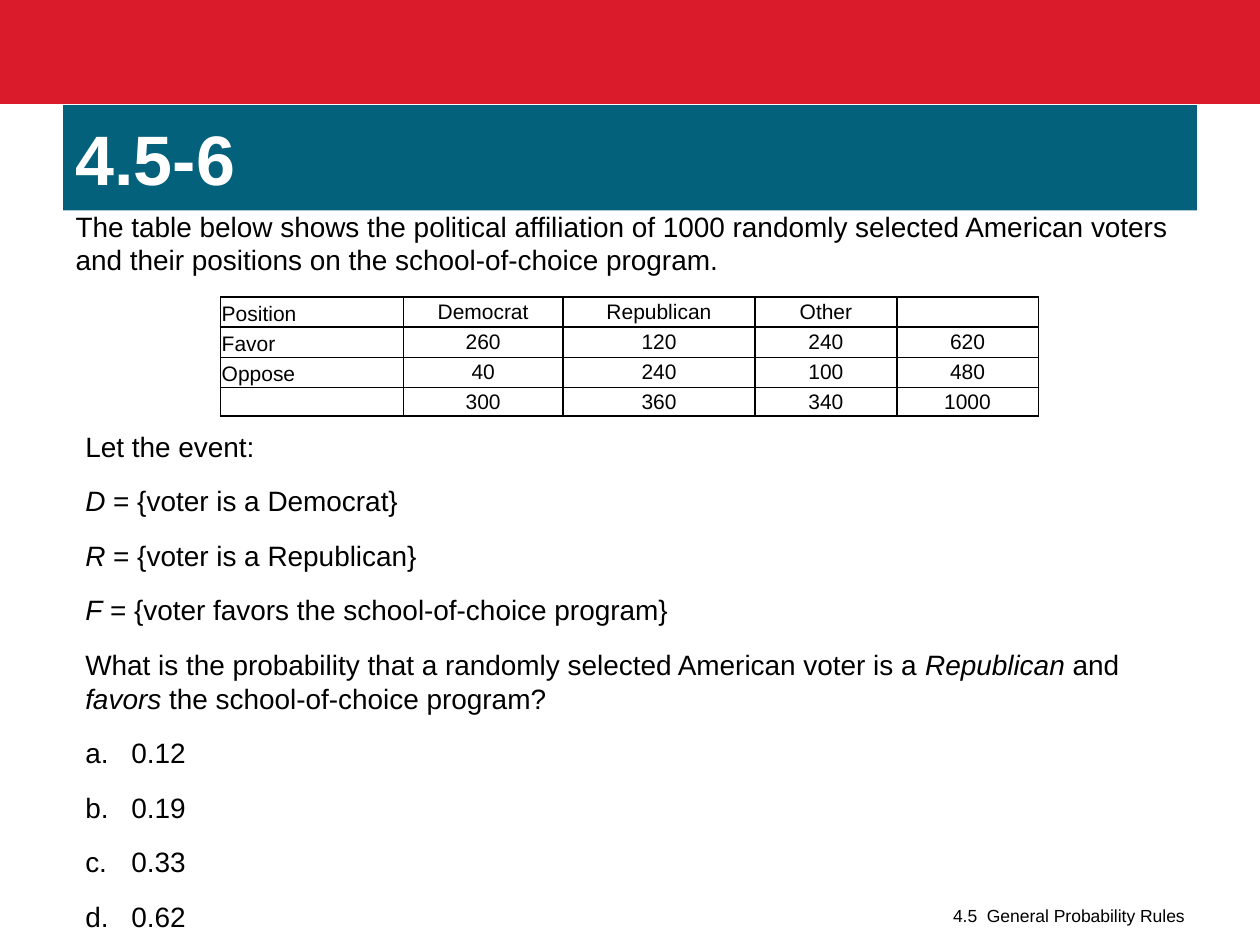
from lxml import etree
from pptx import Presentation
from pptx.dml.color import RGBColor
from pptx.enum.shapes import MSO_SHAPE
from pptx.enum.text import MSO_ANCHOR, MSO_AUTO_SIZE, PP_ALIGN
from pptx.oxml.ns import qn
from pptx.util import Cm, Pt

RECT = MSO_SHAPE.RECTANGLE
MIDDLE, BOTTOM, TOP = MSO_ANCHOR.MIDDLE, MSO_ANCHOR.BOTTOM, MSO_ANCHOR.TOP
LEFT, CENTER, RIGHT = PP_ALIGN.LEFT, PP_ALIGN.CENTER, PP_ALIGN.RIGHT
NO_FIT = MSO_AUTO_SIZE.NONE
RED = RGBColor(0xDA, 0x1B, 0x2C)
TEAL = RGBColor(0x04, 0x61, 0x7B)
WHITE = RGBColor(0xFF, 0xFF, 0xFF)
BLACK = RGBColor(0, 0, 0)


def add_run(p, text, size, color=BLACK, bold=False, italic=False):
    r = p.add_run()
    r.text = text
    r.font.name = "Arial"
    r.font.size = Pt(size)
    r.font.color.rgb = color
    r.font.bold = bold
    r.font.italic = italic


def place(shape, left, top, width, height):
    shape.left, shape.top = Cm(left), Cm(top)
    shape.width, shape.height = Cm(width), Cm(height)


prs = Presentation()
prs.slide_width, prs.slide_height = Cm(25.4), Cm(19.05)
s = prs.slides.add_slide(prs.slide_layouts[1])

bar = s.shapes.add_shape(RECT, Cm(0), Cm(-0.03), Cm(25.4), Cm(2.06))
bar.shadow.inherit = False
bar.fill.solid()
bar.fill.fore_color.rgb = RED
bar.line.color.rgb = RED
bar.line.width = Pt(4.33)

title = s.shapes.title
place(title, 1.27, 2.12, 22.86, 2.12)
title.fill.solid()
title.fill.fore_color.rgb = TEAL
tf = title.text_frame
tf.auto_size = NO_FIT
tf.vertical_anchor = MIDDLE
p = tf.paragraphs[0]
p.alignment = LEFT
add_run(p, "4.5-6", 40, WHITE, bold=True)

intro = s.placeholders[1]
place(intro, 1.27, 4.09, 22.86, 1.7)
tf = intro.text_frame
tf.auto_size = NO_FIT
tf.vertical_anchor = TOP
p = tf.paragraphs[0]
p.space_before, p.space_after = Pt(0), Pt(12)
pPr = p._p.get_or_add_pPr()
pPr.set("marL", "0")
pPr.set("indent", "0")
etree.SubElement(pPr, qn("a:buNone"))
add_run(p, "The table below shows the political affiliation of 1000 randomly selected "
           "American voters and their positions on the school-of-choice program.", 16)

rows = [
    ["Position", "Democrat", "Republican", "Other", ""],
    ["Favor", "260", "120", "240", "620"],
    ["Oppose", "40", "240", "100", "480"],
    ["", "300", "360", "340", "1000"],
]
col_widths = [3.69, 3.22, 3.87, 2.86, 2.85]
row_heights = [0.59, 0.59, 0.59, 0.54]
table = s.shapes.add_table(4, 5, Cm(4.44), Cm(5.99), Cm(sum(col_widths)),
                           Cm(sum(row_heights))).table
table.first_row = table.horz_banding = False
for column, width in zip(table.columns, col_widths):
    column.width = Cm(width)
for i, (values, height) in enumerate(zip(rows, row_heights)):
    table.rows[i].height = Cm(height)
    for j, value in enumerate(values):
        cell = table.cell(i, j)
        cell.margin_left = cell.margin_right = Cm(0.15 if j else 0.03)
        cell.margin_top = cell.margin_bottom = Cm(0 if j else 0.03)
        tcPr = cell._tc.get_or_add_tcPr()
        for side in ("a:lnL", "a:lnR", "a:lnT", "a:lnB"):
            ln = etree.SubElement(tcPr, qn(side), w=str(Pt(1)))
            fill = etree.SubElement(ln, qn("a:solidFill"))
            etree.SubElement(fill, qn("a:srgbClr"), val=str(BLACK))
        cell.fill.solid()
        cell.fill.fore_color.rgb = WHITE
        p = cell.text_frame.paragraphs[0]
        p.alignment = CENTER if j else LEFT
        p.line_spacing = 1.15
        if value:
            add_run(p, value, 12)
        else:
            etree.SubElement(p._p, qn("a:endParaRPr"), sz="1200")

paragraphs = [
    [("Let the event:", False)],
    [("D", True), (" = {voter is a Democrat}", False)],
    [("R", True), (" = {voter is a Republican}", False)],
    [("F", True), (" = {voter favors the school-of-choice program}", False)],
    [("What is the probability that a randomly selected American voter is a", False),
     (" Republican ", True), ("and ", False), ("favors ", True),
     ("the school-of-choice program?", False)],
]
answers = ["0.12", "0.19", "0.33", "0.62"]
paragraphs += [[(f"{letter}.\t{answer}", False)] for letter, answer in zip("abcd", answers)]

question = s.shapes.add_textbox(Cm(1.47), Cm(8.53), Cm(22.43), Cm(10.52))
tf = question.text_frame
tf.word_wrap = True
for i, runs in enumerate(paragraphs):
    p = tf.paragraphs[0] if i == 0 else tf.add_paragraph()
    p.space_after = Pt(12)
    if "\t" in runs[0][0]:
        pPr = p._p.get_or_add_pPr()
        pPr.set("marL", str(Cm(0.93)))
        pPr.set("indent", str(-Cm(0.93)))
    for text, italic in runs:
        add_run(p, text, 16, italic=italic)

footer = s.shapes.add_textbox(Cm(17.6), Cm(18.21), Cm(6.53), Cm(0.58))
tf = footer.text_frame
tf.word_wrap = True
tf.vertical_anchor = BOTTOM
p = tf.paragraphs[0]
p.alignment = RIGHT
add_run(p, "4.5  General Probability Rules", 10)

prs.save("out.pptx")
